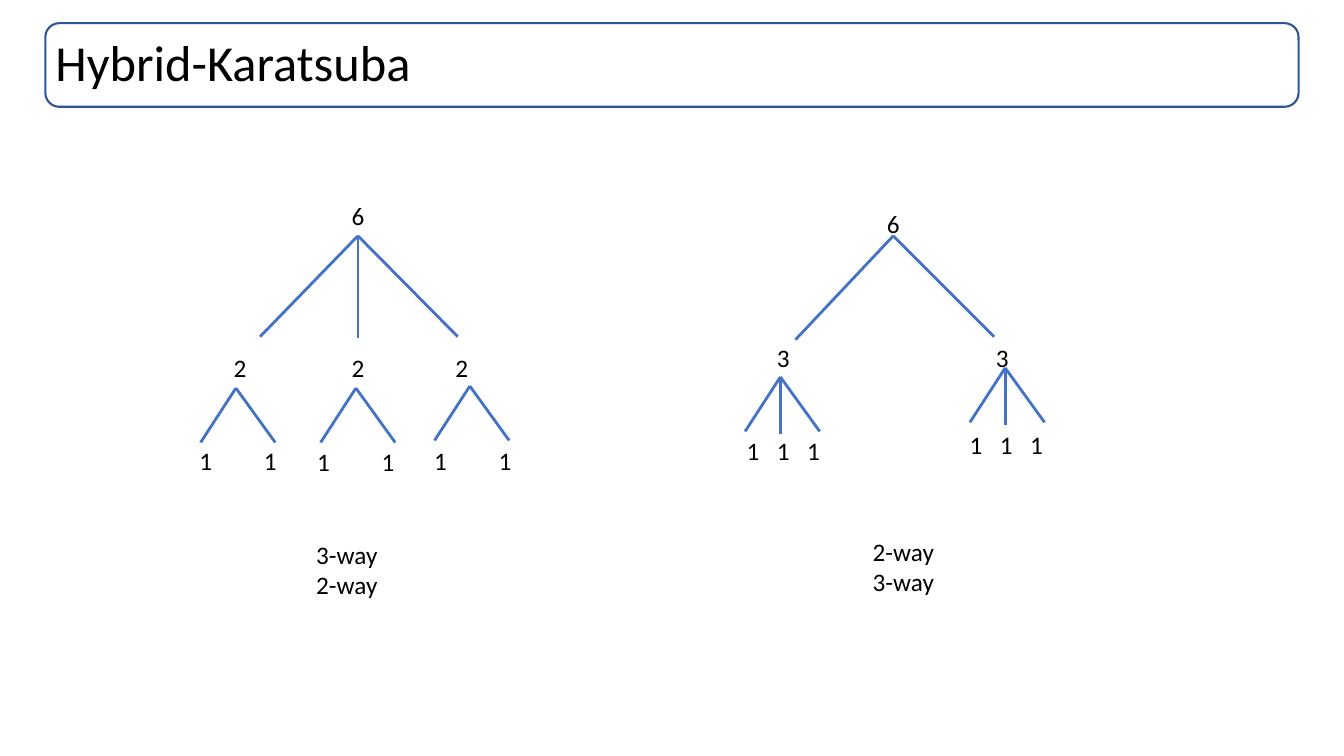
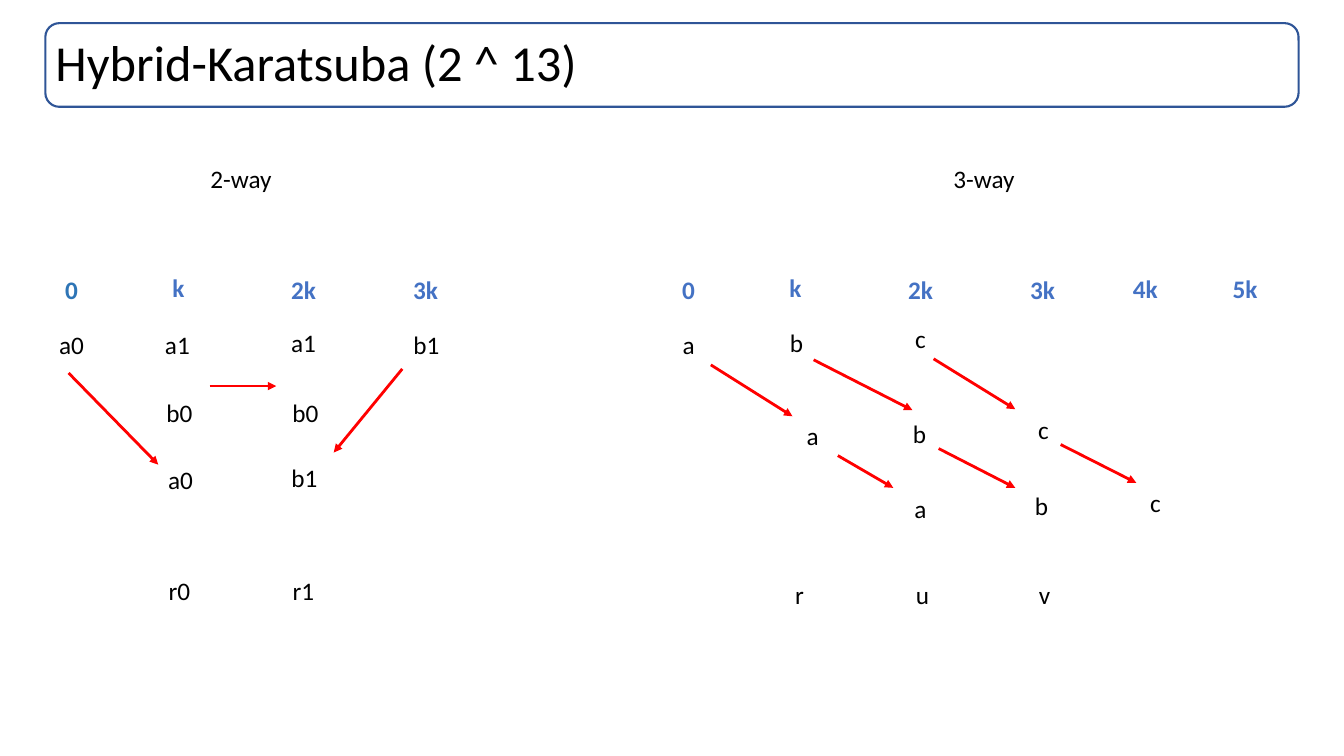
"""Build two slides on Hybrid-Karatsuba: splitting trees and limb alignment."""
from lxml import etree
from pptx import Presentation
from pptx import util as u
from pptx.dml.color import RGBColor
from pptx.enum import shapes, text
from pptx.oxml import ns

CELL = u.Inches(0.1)
COLUMNS, ROWS = 133.3, 75
FONT = "Calibri"
BLACK, BLUE, TEAL, NAVY, RED = "000000", "4472C4", "2E75B6", "2F5597", "FF0000"
BAND = [round(cells * CELL) for cells in (4.5, 2.3, 124.3, 8.3)]
LABEL_WIDTH, LINE_HEIGHT = 10, 4


def add_label(slide, center, top, lines, color=BLACK, bold=False):
    box = slide.shapes.add_textbox(
        round((center - LABEL_WIDTH / 2) * CELL), round(top * CELL),
        LABEL_WIDTH * CELL, LINE_HEIGHT * len(lines) * CELL)
    frame = box.text_frame
    frame.word_wrap = True
    for index, line in enumerate(lines):
        paragraph = frame.add_paragraph() if index else frame.paragraphs[0]
        paragraph.alignment = text.PP_ALIGN.CENTER
        run = paragraph.add_run()
        run.text = line
        run.font.name, run.font.size, run.font.bold = FONT, u.Pt(18), bold
        run.font.color.rgb = RGBColor.from_string(color)


def add_line(slide, start, end, color=BLUE, arrow=False):
    connector = slide.shapes.add_connector(
        shapes.MSO_CONNECTOR.STRAIGHT,
        *[round(cells * CELL) for cells in (*start, *end)])
    connector.line.width = u.Pt(2)
    connector.line.color.rgb = RGBColor.from_string(color)
    properties = connector.element.spPr
    if arrow:
        outline = properties.find(ns.qn("a:ln"))
        etree.SubElement(outline, ns.qn("a:tailEnd"), type="triangle")
    etree.SubElement(properties, ns.qn("a:effectLst"))


presentation = Presentation()
presentation.slide_width = round(COLUMNS * CELL)
presentation.slide_height = ROWS * CELL
layout = presentation.slide_layouts.get_by_name("Title Only")

slides = []
for heading in ("Hybrid-Karatsuba", "Hybrid-Karatsuba (2 ^ 13)"):
    slide = presentation.slides.add_slide(layout)
    title = slide.shapes.title
    title.left, title.top, title.width, title.height = BAND
    title.text_frame.vertical_anchor = text.MSO_ANCHOR.MIDDLE
    paragraph = title.text_frame.paragraphs[0]
    paragraph.alignment = text.PP_ALIGN.LEFT
    paragraph.line_spacing = 0.9
    run = paragraph.add_run()
    run.text = heading
    run.font.name, run.font.size = FONT, u.Pt(36)
    run.font.color.rgb = RGBColor.from_string(BLACK)
    slides.append(slide)
trees, alignment = slides

band = trees.shapes.add_shape(shapes.MSO_SHAPE.ROUNDED_RECTANGLE, *BAND)
band.shadow.inherit = False
band.fill.background()
band.line.color.rgb = RGBColor.from_string(NAVY)
band.line.width = u.Pt(1.5)
layout.shapes.element.insert(2, band.element)

for root, root_top, branch_ends in (
        (35.5, 19.4, ((25.8, 33.4), (35.5, 33.5), (45.4, 33.4))),
        (88.6, 20.2, ((78.9, 33.7), (98.6, 33.4)))):
    add_label(trees, root, root_top, ["6"])
    for end in branch_ends:
        add_line(trees, (root, 23.4), end)

LEAF_SPREAD = {2: (-3.2, 3.2), 3: (-3, 0, 3)}
BRANCH_SPREAD = {2: ((-3.5, 5.4), (3.9, 5.4)),
                 3: ((-3.5, 5.4), (0, 5.7), (3.9, 5.4))}
for ways, center, top, apex, apex_top, leaf_center, leaf_top in (
        (2, 23.8, 34.5, 23.4, 38.5, 23.6, 43.7),
        (2, 35.5, 34.5, 35.3, 38.5, 35.3, 43.8),
        (2, 45.8, 34.5, 46.6, 38.3, 46.9, 43.7),
        (3, 77.7, 33.5, 77.4, 37.4, 77.7, 42.7),
        (3, 99.4, 33.5, 99.7, 36.5, 99.8, 42.1)):
    add_label(trees, center, top, [str(ways)])
    for across, down in BRANCH_SPREAD[ways]:
        add_line(trees, (apex, apex_top), (apex + across, apex_top + down))
    for across in LEAF_SPREAD[ways]:
        add_label(trees, leaf_center + across, leaf_top, ["1"])

add_label(trees, 34.4, 53, ["3-way", "2-way"])
add_label(trees, 89.6, 52.7, ["2-way", "3-way"])

add_label(alignment, 23.9, 15.7, ["2-way"])
add_label(alignment, 97.6, 15.7, ["3-way"])

POWERS = (("0", 7.1, 26.7), ("k", 17.7, 26.5), ("2k", 30.1, 26.7),
          ("3k", 42.2, 26.7), ("4k", 52.4, 26.6), ("5k", 62.3, 26.6))
for offset, count, first_color in ((0, 4, TEAL), (61.2, 6, BLUE)):
    for index, (power, center, top) in enumerate(POWERS[:count]):
        color = BLUE if index else first_color
        add_label(alignment, center + offset, top, [power], color, True)

for limb, center, top in (
        ("a0", 7.1, 32.2), ("a1", 17.6, 32.2), ("a1", 30.1, 32),
        ("b1", 42.3, 32.2), ("b0", 17.8, 38.9), ("b0", 30.3, 38.9),
        ("a0", 17.9, 45.6), ("b1", 30.2, 45.4),
        ("r0", 17.8, 56.6), ("r1", 30.1, 56.6),
        ("a", 68.3, 32.2), ("b", 79, 32), ("c", 91.3, 31.6),
        ("a", 80.6, 41.2), ("b", 91.2, 41), ("c", 103.5, 40.6),
        ("a", 91.3, 48.4), ("b", 103.3, 48.2), ("c", 114.6, 47.9),
        ("r", 79.3, 57), ("u", 91.5, 57), ("v", 103.6, 57)):
    add_label(alignment, center, top, [limb])

for start, end in (
        ((6.8, 37), (15.7, 46.1)), ((20.8, 38.3), (27.4, 38.3)),
        ((39.9, 36.6), (33.1, 44.9)),
        ((70.5, 36.2), (78.6, 41.3)), ((80.7, 35.7), (90.5, 40.7)),
        ((92.6, 35.6), (100.7, 40.6)),
        ((83.1, 45.2), (88.6, 48.4)), ((93.1, 44.5), (100.7, 48.4)),
        ((105.2, 44.1), (112.7, 47.9))):
    add_line(alignment, start, end, RED, True)

presentation.save("out.pptx")
